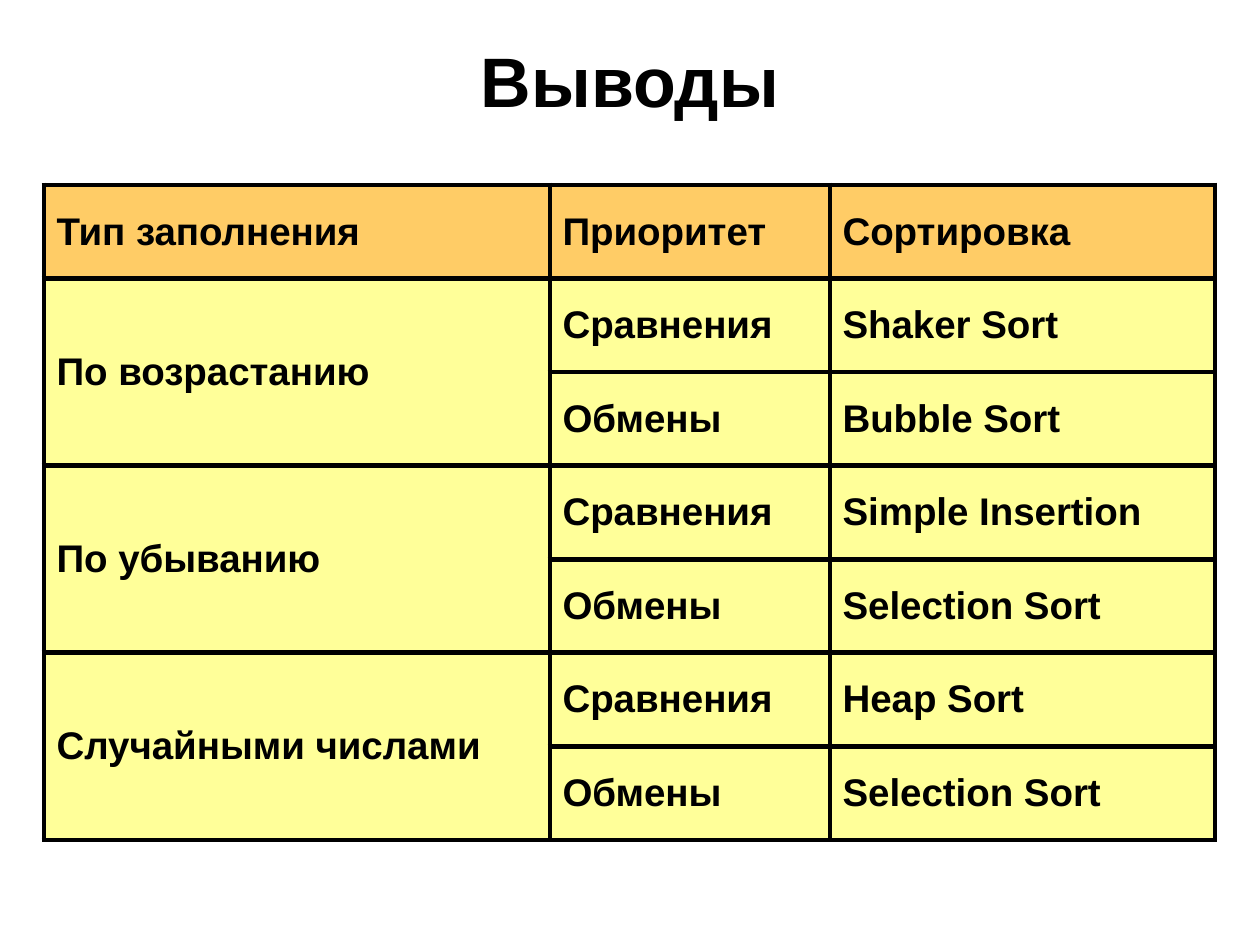
from dataclasses import dataclass

from lxml.etree import SubElement
from pptx import Presentation
from pptx.dml.color import RGBColor
from pptx.enum.text import MSO_ANCHOR, MSO_AUTO_SIZE, PP_ALIGN
from pptx.oxml.ns import qn
from pptx.table import Table, _Cell
from pptx.text.text import _Paragraph
from pptx.util import Emu, Pt

PIXELS_PER_INCH = 126
COLORS = {"ink": "000000", "header": "FFCC66", "body": "FFFF99"}
FONT = "Arial"
BORDER_WIDTH = Pt(3)

TABLE_LEFT, TABLE_TOP, TABLE_HEIGHT = 44, 185, 655
COLUMN_WIDTHS = (506, 280, 385)
HEADERS = ("Тип заполнения", "Приоритет", "Сортировка")
PRIORITIES = ("Сравнения", "Обмены")


@dataclass(frozen=True)
class FillType:
    """A way of filling the array, with the best sort for each priority."""
    name: str
    sorts: tuple[str, str]


FILL_TYPES = (
    FillType("По возрастанию", ("Shaker Sort", "Bubble Sort")),
    FillType("По убыванию", ("Simple Insertion", "Selection Sort")),
    FillType("Случайными числами", ("Heap Sort", "Selection Sort")),
)


def px(length: int) -> Emu:
    return Emu(round(length * 914400 / PIXELS_PER_INCH))


def add_span(para: _Paragraph, text: str, size: int) -> None:
    span = para.add_run()
    span.text = text
    span.font.name = FONT
    span.font.size = Pt(size)
    span.font.bold = True
    span.font.color.rgb = RGBColor.from_string(COLORS["ink"])


def add_title(slide, text: str) -> None:
    box = slide.shapes.add_textbox(px(0), px(31), px(1260), px(97))
    frame = box.text_frame
    frame.word_wrap = True
    frame.auto_size = MSO_AUTO_SIZE.SHAPE_TO_FIT_TEXT
    para = frame.paragraphs[0]
    para.alignment = PP_ALIGN.CENTER
    add_span(para, text, 40)


def style_cell(cell: _Cell, color: str) -> None:
    properties = cell._tc.get_or_add_tcPr()
    for side in ("lnL", "lnR", "lnT", "lnB"):
        line = SubElement(properties, qn(f"a:{side}"), w=str(BORDER_WIDTH))
        fill = SubElement(line, qn("a:solidFill"))
        SubElement(fill, qn("a:srgbClr"), val=COLORS["ink"])
    cell.fill.solid()
    cell.fill.fore_color.rgb = RGBColor.from_string(COLORS[color])
    cell.vertical_anchor = MSO_ANCHOR.MIDDLE


def write_cell(table: Table, row: int, column: int, text: str) -> None:
    add_span(table.cell(row, column).text_frame.paragraphs[0], text, 22)


def add_conclusions(slide) -> None:
    group_size = len(PRIORITIES)
    row_count = 1 + len(FILL_TYPES) * group_size
    table = slide.shapes.add_table(
        row_count, len(COLUMN_WIDTHS), px(TABLE_LEFT), px(TABLE_TOP),
        px(sum(COLUMN_WIDTHS)), px(TABLE_HEIGHT)).table
    for column, width in zip(table.columns, COLUMN_WIDTHS):
        column.width = px(width)
    for index, row in enumerate(table.rows):
        row.height = Emu(px(TABLE_HEIGHT) // row_count)
        for cell in row.cells:
            style_cell(cell, "body" if index else "header")

    for column, header in enumerate(HEADERS):
        write_cell(table, 0, column, header)
    for group, fill_type in enumerate(FILL_TYPES):
        first = 1 + group * group_size
        table.cell(first, 0).merge(table.cell(first + group_size - 1, 0))
        write_cell(table, first, 0, fill_type.name)
        for row, pair in enumerate(zip(PRIORITIES, fill_type.sorts), first):
            for column, text in enumerate(pair, 1):
                write_cell(table, row, column, text)


def main() -> None:
    deck = Presentation()
    deck.slide_width, deck.slide_height = px(1260), px(945)
    page = deck.slides.add_slide(deck.slide_layouts[6])
    add_title(page, "Выводы")
    add_conclusions(page)
    deck.save("out.pptx")


if __name__ == "__main__":
    main()
